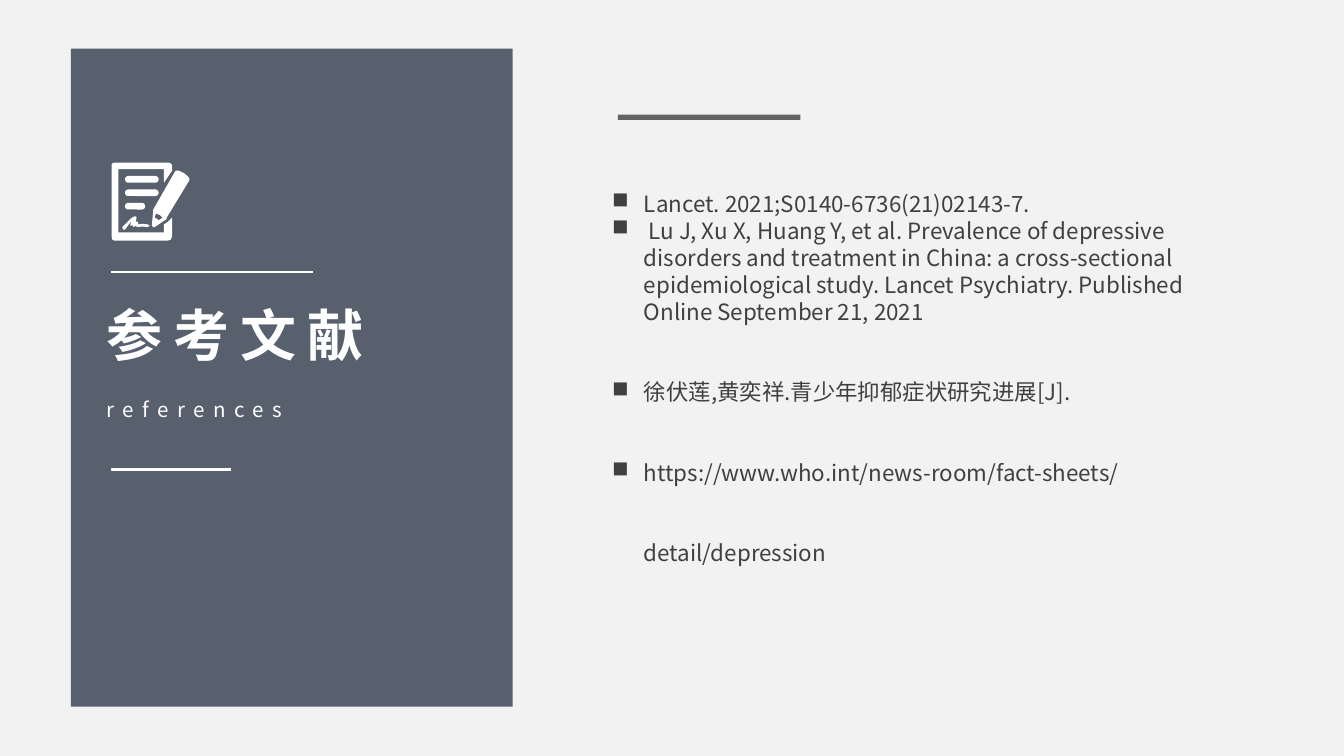
import math
import pptx
import pptx.util
import pptx.dml.color
import pptx.enum.shapes
import pptx.enum.text
import pptx.oxml.ns
from lxml import etree

Cm, Pt = pptx.util.Cm, pptx.util.Pt
Color = pptx.dml.color.RGBColor
Align = pptx.enum.text.PP_ALIGN

PAPER = Color(0xF2, 0xF2, 0xF2)
GREY = Color(0x40, 0x40, 0x40)
NAVY = Color(0x32, 0x3C, 0x4E)
WHITE = Color(0xFF, 0xFF, 0xFF)
FACE = "Noto Sans CJK SC"

# Wording and line spacing of each reference
ITEMS = [
    ("Lancet. 2021;S0140-6736(21)02143-7.", 3),
    (" Lu J, Xu X, Huang Y, et al. Prevalence of depressive disorders and "
     "treatment in China: a cross-sectional epidemiological study. Lancet "
     "Psychiatry. Published Online September 21, 2021", None),
    ("徐伏莲,黄奕祥.青少年抑郁症状研究进展[J].", 3),
    ("https://www.who.int/news-room/fact-sheets/detail/depression", 3),
]

# Icon outlines, in hundredths of an inch
SHEET = [(85, 121), (125, 121), (127, 121.6), (128, 123), (128, 127),
         (122, 136), (122, 126), (88, 126), (88, 173), (122, 173),
         (122, 167), (125, 165), (126, 164), (128, 162), (128, 176),
         (127, 178.4), (125, 179), (85, 179), (83.6, 178.4), (83, 176),
         (83, 123), (83.6, 121.6)]
PEN = [(131, 127), (133, 127), (137, 129), (140, 131.5), (141, 133),
       (141, 134), (124, 162), (124, 163), (115, 169), (114, 169),
       (113, 168), (113, 167), (114, 157), (114, 156), (130, 128)]
NIB = [(116, 159), (115, 162), (117, 163), (118, 164), (121, 162), (119, 160)]
SIGN = [(101, 161), (101.6, 162), (101, 165), (102.5, 165), (103, 167),
        (106, 166.6), (110, 167), (111.3, 168), (110, 169), (106, 168.6),
        (102, 169), (101, 168), (99.5, 169), (98.7, 168), (99, 167),
        (98, 168), (97, 168), (97, 167), (98, 164), (93, 171),
        (91.6, 171), (91, 169), (97, 163), (99, 161.4)]


def tag(parent, name, **attrs):
    return etree.SubElement(parent, pptx.oxml.ns.qn("a:" + name), attrs)


def style(target, values):
    for key, value in values.items():
        setattr(target, key, value)


def paint(shape, color, alpha=None):
    shape.shadow.inherit = False
    shape.fill.solid()
    shape.fill.fore_color.rgb = color
    shape.line.fill.background()
    if alpha:
        fill = shape._element.spPr.find(".//" + pptx.oxml.ns.qn("a:srgbClr"))
        tag(fill, "alpha", val=str(alpha * 1000))


def block(slide, left, top, width, height, color):
    kind = pptx.enum.shapes.MSO_SHAPE.RECTANGLE
    shape = slide.shapes.add_shape(kind, Cm(left), Cm(top), Cm(width), Cm(height))
    paint(shape, color, 80)


def rule(slide, left, top, width):
    kind = pptx.enum.shapes.MSO_CONNECTOR.STRAIGHT
    line = slide.shapes.add_connector(kind, Cm(left), Cm(top), Cm(left + width), Cm(top))
    line.line.color.rgb = WHITE
    line.line.width = Pt(1.5)
    tag(line._element.spPr, "effectLst")


def frame(slide, left, top, width, height):
    text = slide.shapes.add_textbox(Cm(left), Cm(top), Cm(width), Cm(height)).text_frame
    style(text, dict(word_wrap=True, margin_left=Cm(0.19), margin_right=Cm(0.19),
                     margin_top=Cm(0.1), margin_bottom=Cm(0.1),
                     auto_size=pptx.enum.text.MSO_AUTO_SIZE.SHAPE_TO_FIT_TEXT))
    return text


def write(para, words, color, space=0, **look):
    run = para.add_run()
    run.text = words
    style(run.font, dict(name=FACE, **look))
    run.font.color.rgb = color
    props = run._r.get_or_add_rPr()
    tag(props, "ea", typeface=FACE)
    if space:
        props.set("spc", str(int(space * 100)))


def bullet(para):
    props = para._p.get_or_add_pPr()
    props.set("marL", str(Cm(0.6)))
    props.set("indent", str(-Cm(0.6)))
    tag(tag(props, "buClr"), "srgbClr", val=str(GREY))
    # Letter n is the square in this symbol font
    tag(props, "buFont", typeface="Wingdings", charset="2")
    tag(props, "buChar", char="n")


def pill(left, top, right, bottom):
    """Outline of a bar with round ends."""
    rad = (bottom - top) / 2
    outline = []
    for angle in range(-90, 271, 20):
        turn = math.radians(angle)
        hub = right - rad if math.cos(turn) > 0 else left + rad
        outline.append((hub + rad * math.cos(turn), top + rad + rad * math.sin(turn)))
    return outline


def icon(slide):
    bars = [pill(93, top, right, top + 5)
            for top, right in ((131, 118), (141, 118), (151, 108))]
    # Drawing unit: a thousandth of a centimetre
    paths = [[(x * 25.4, y * 25.4) for x, y in path]
             for path in (SHEET, PEN, NIB, SIGN, *bars)]
    pen = slide.shapes.build_freeform(*paths[0][0], scale=Cm(0.001))
    pen.add_line_segments(paths[0][1:])
    for path in paths[1:]:
        pen.move_to(*path[0])
        pen.add_line_segments(path[1:])
    paint(pen.convert_to_shape(), WHITE)


def main():
    deck = pptx.Presentation()
    style(deck, dict(slide_width=Cm(25.4), slide_height=Cm(14.29)))
    slide = deck.slides.add_slide(deck.slide_layouts[6])
    slide.background.fill.solid()
    slide.background.fill.fore_color.rgb = PAPER

    # Reference list
    text = frame(slide, 11.38, 2.48, 11.33, 8.13)
    for i, (words, gap) in enumerate(ITEMS):
        para = text.add_paragraph() if i else text.paragraphs[0]
        bullet(para)
        para.line_spacing = gap
        write(para, words, GREY, size=Pt(12))
    block(slide, 11.68, 2.17, 3.45, 0.1, GREY)

    # Title panel
    block(slide, 1.34, 0.92, 8.35, 12.44, NAVY)
    head = frame(slide, 1.82, 5.59, 9.22, 1.47).paragraphs[0]
    write(head, "参考文献", WHITE, 6, size=Pt(30), bold=True)
    rule(slide, 2.1, 5.14, 3.82)
    rule(slide, 2.1, 8.87, 2.26)
    note = frame(slide, 1.83, 7.4, 5.97, 0.66).paragraphs[0]
    note.alignment = Align.JUSTIFY
    write(note, "references", WHITE, 4.5, size=Pt(11))
    icon(slide)

    deck.save("out.pptx")


if __name__ == "__main__":
    main()
